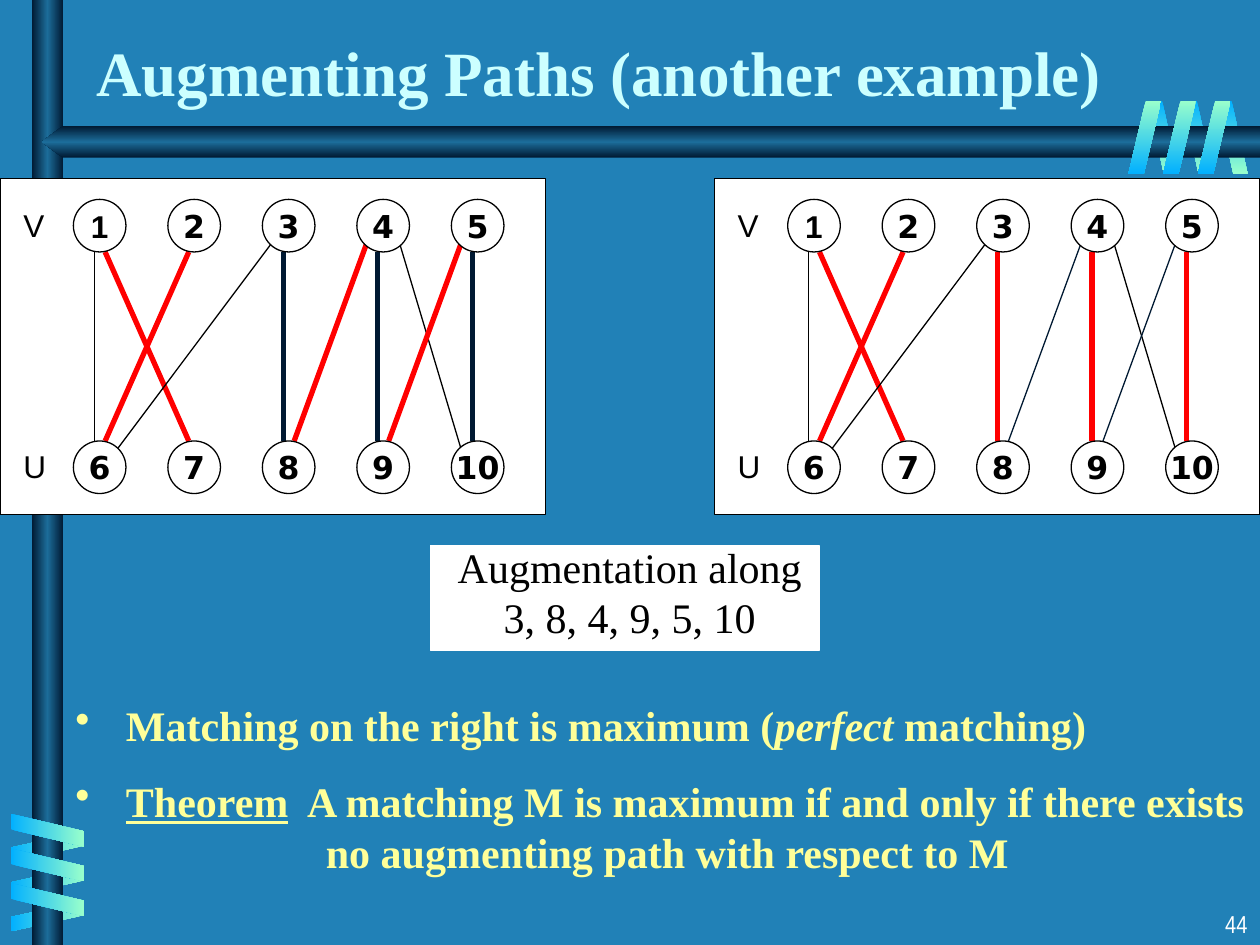
import pptx
import pptx.dml.color
import pptx.enum.shapes
import pptx.enum.text
import pptx.oxml
import pptx.oxml.ns
import pptx.util

Cm = pptx.util.Cm
Pt = pptx.util.Pt
RGB = pptx.dml.color.RGBColor
qn = pptx.oxml.ns.qn
NS = pptx.oxml.ns.nsdecls("a")
SHAPE = pptx.enum.shapes.MSO_SHAPE
ALIGN = pptx.enum.text.PP_ALIGN
ANCHOR = pptx.enum.text.MSO_ANCHOR

BLUE = RGB(0x21, 0x81, 0xB7)
NAVY = RGB(0x00, 0x19, 0x32)
STEEL = RGB(0x1C, 0x6D, 0x9A)
SKY = RGB(0x01, 0xB0, 0xFF)
MINT = RGB(0x99, 0xFF, 0xCC)
ICE = RGB(0xCC, 0xFF, 0xFF)
CREAM = RGB(0xFF, 0xFF, 0x99)
WHITE = RGB(0xFF, 0xFF, 0xFF)
BLACK = RGB(0x00, 0x00, 0x00)
RED = RGB(0xFF, 0x00, 0x00)

SERIF = "Times New Roman"
THIN, THICK = 0.75, 3
NEAR, FAR = 0.11, 0.32
NODE, PITCH = 1.06, 1.905

BASE = [
    (0, -NEAR, 0, -NEAR, BLACK, THIN),
    (0, NEAR, 1, -NEAR, RED, THICK),
    (1, -NEAR, 0, NEAR, RED, THICK),
    (2, -FAR, 0, FAR, BLACK, THIN),
    (3, FAR, 4, -FAR, BLACK, THIN),
]


def links(down, slant):
    return (BASE + [(i, -NEAR, i, -NEAR, *down) for i in (2, 3, 4)]
            + [(i, -FAR, i - 1, NEAR, *slant) for i in (3, 4)])


def write(shape, paras, font=SERIF, size=24, color=BLACK, bold=False,
          align=ALIGN.LEFT, anchor=ANCHOR.TOP, wrap=True, gap=0):
    frame = shape.text_frame
    frame.word_wrap = wrap
    frame.vertical_anchor = anchor
    for i, (runs, margin, mark) in enumerate(paras):
        para = frame.paragraphs[0] if i == 0 else frame.add_paragraph()
        if margin:
            props = para._p.get_or_add_pPr()
            props.set("marL", str(Cm(margin)))
            props.set("indent", str(-Cm(margin) if mark else 0))
        if mark:
            props.append(pptx.oxml.parse_xml(
                f'<a:buClr {NS}><a:srgbClr val="{color}"/></a:buClr>'))
            props.append(pptx.oxml.parse_xml(f'<a:buChar {NS} char="{mark}"/>'))
        para.alignment = align
        if mark and i:
            para.space_before = Pt(gap)
        for words, style in runs:
            run = para.add_run()
            run.text = words
            run.font.name = font
            run.font.size = Pt(size)
            run.font.bold = bold
            run.font.color.rgb = color
            if style:
                setattr(run.font, style, True)


def text(slide, box, words, **form):
    shape = slide.shapes.add_textbox(*map(Cm, box))
    paras = [([(words, None)], 0, None)] if isinstance(words, str) else words
    write(shape, paras, **form)
    return shape


def block(slide, kind, box, edge=BLACK):
    shape = slide.shapes.add_shape(kind, *map(Cm, box))
    shape.shadow.inherit = False
    shape.fill.solid()
    shape.fill.fore_color.rgb = WHITE
    shape.line.color.rgb = edge
    shape.line.width = Pt(THIN)
    return shape


def shade(shape, colors, angle):
    shape.shadow.inherit = False
    shape.line.fill.background()
    shape.fill.background()
    step = 100000 // (len(colors) - 1)
    stops = "".join(f'<a:gs pos="{i * step}"><a:srgbClr val="{c}"/></a:gs>'
                    for i, c in enumerate(colors))
    props = shape._element.spPr
    props.replace(props.find(qn("a:noFill")), pptx.oxml.parse_xml(
        f'<a:gradFill {NS} rotWithShape="0"><a:gsLst>{stops}</a:gsLst>'
        f'<a:lin ang="{angle * 60000}" scaled="0"/></a:gradFill>'))


def coil(slide, box, step, colors, angle, turn, flip):
    left, top, width, height = box
    for i in range(3):
        spot = (left + i * step[0], top + i * step[1], width, height)
        strip = slide.shapes.add_shape(SHAPE.PARALLELOGRAM, *map(Cm, spot))
        strip.adjustments[0] = 0.53
        strip.rotation = turn
        if flip:
            strip._element.spPr.find(qn("a:xfrm")).set("flipH", "1")
        shade(strip, colors, angle)


def bars(slide, box):
    left, top, width, height = box
    thick = 0.64
    post = slide.shapes.add_shape(
        SHAPE.RECTANGLE, *map(Cm, (left + 0.64, top, thick, height)))
    shade(post, (NAVY, STEEL, NAVY), 0)
    tip, neck, right = left + 0.84, left + 1.27, left + width
    high = top + 2.54
    low = high + thick
    pen = slide.shapes.build_freeform(Cm(right), Cm(high))
    spots = [(neck, high), (tip, high + thick / 2), (neck, low), (right, low)]
    pen.add_line_segments([(Cm(x), Cm(y)) for x, y in spots], close=True)
    shade(pen.convert_to_shape(), (NAVY, STEEL, NAVY), 90)


def decor(slide, box):
    left, top = box[:2]
    across, down = (0.7, 0), (0, 0.7)
    coil(slide, (left + 23.14, top + 2.03, 0.61, 1.47), across,
         (SKY, MINT), 90, 180, True)
    coil(slide, (left + 0.66, top + 16.33, 0.61, 1.47), down,
         (MINT, SKY), 0, 90, True)
    bars(slide, box)
    coil(slide, (left + 0.62, top + 16, 0.66, 1.47), down,
         (SKY, MINT), 0, 270, False)
    coil(slide, (left + 22.75, top + 2.03, 0.66, 1.47), across,
         (MINT, SKY), 90, 0, False)


def graph(slide, box, edges):
    left, top = box[:2]
    block(slide, SHAPE.RECTANGLE, box)
    start = left + 1.48
    rows = (top + 0.42, top + 5.29)

    def point(col, shift, row):
        x = start + col * PITCH + NODE / 2 + shift
        dip = 0.21 if abs(shift) == FAR else 0
        y = rows[1] + dip if row else rows[0] + NODE - dip
        return Cm(x), Cm(y)

    for a, da, b, db, color, weight in edges:
        edge = slide.shapes.add_connector(
            pptx.enum.shapes.MSO_CONNECTOR.STRAIGHT,
            *point(a, da, 0), *point(b, db, 1))
        edge.line.color.rgb = color
        edge.line.width = Pt(weight)
        edge._element.spPr.append(pptx.oxml.parse_xml(f"<a:effectLst {NS}/>"))
    for row, (y, name) in enumerate(zip(rows, "VU")):
        text(slide, (left + 0.22, y, 0.95, 1.02), name,
             font="Arial", size=18, wrap=False)
        for col in range(5):
            label = str(row * 5 + col + 1)
            node = block(slide, SHAPE.OVAL,
                         (start + col * PITCH, y, NODE, NODE))
            write(node, [([(label, None)], 0, None)], size=18, bold=True,
                  font="Arial" if label == "1" else "DejaVu Sans",
                  align=ALIGN.CENTER, anchor=ANCHOR.MIDDLE, wrap=False)


def caption(slide, box):
    left, top, width, height = box
    block(slide, SHAPE.RECTANGLE, box, edge=WHITE)
    lines = ("Augmentation along", "3, 8, 4, 9, 5, 10")
    text(slide, (left - 0.22, top - 0.21, width + 0.64, height + 0.18),
         [([(line, None)], 0, None) for line in lines], align=ALIGN.CENTER)


def points(slide, box):
    paras = [
        ([("Matching on the right is maximum (", None),
          ("perfect ", "italic"), ("matching)", None)], 1.02, "•"),
        ([("Theorem", "underline"),
          ("  A matching M is maximum if and only if there exists", None)],
         1.02, "•"),
        ([("no augmenting path with respect to M", None)], 5.05, None),
    ]
    shape = text(slide, box, paras, color=CREAM, bold=True, gap=15)
    shape.text_frame.margin_right = 0


def main():
    deck = pptx.Presentation()
    deck.slide_width, deck.slide_height = Cm(25.4), Cm(19.05)
    slide = deck.slides.add_slide(deck.slide_layouts[6])
    slide.background.fill.solid()
    slide.background.fill.fore_color.rgb = BLUE
    decor(slide, (0, 0, 25.4, 19.05))
    text(slide, (20.12, 18.2, 5.28, 0.85), "44", font="Arial Narrow",
         size=14, color=WHITE, align=ALIGN.RIGHT)
    text(slide, (1.69, 0.42, 21.08, 1.9), "Augmenting Paths (another example)",
         size=36, color=ICE, bold=True, anchor=ANCHOR.BOTTOM)
    graph(slide, (0, 3.6, 11, 6.77), links((NAVY, THICK), (RED, THICK)))
    graph(slide, (14.4, 3.6, 11, 6.77), links((RED, THICK), (NAVY, THIN)))
    caption(slide, (8.68, 11, 7.83, 2.12))
    points(slide, (1.27, 13.97, 24.13, 3.84))
    deck.save("out.pptx")


if __name__ == "__main__":
    main()
